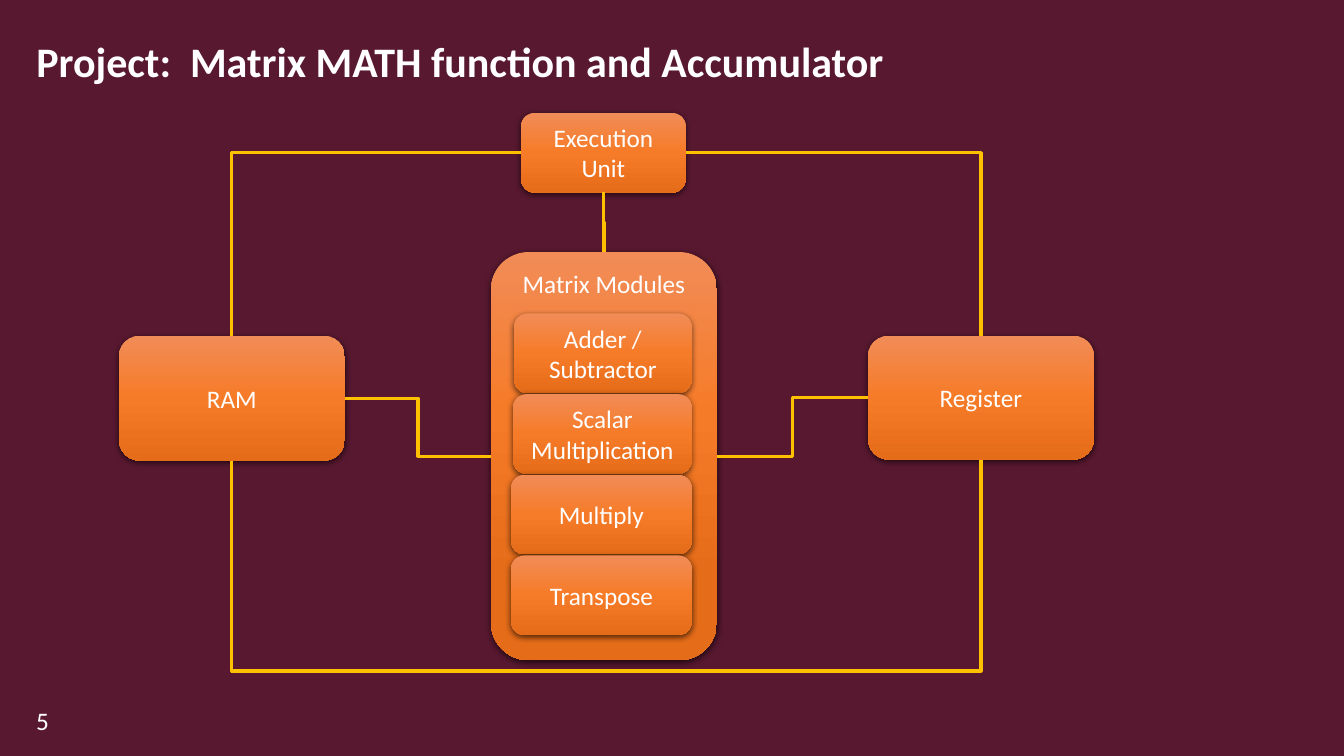
from copy import deepcopy
from math import cos, radians, sin

from lxml import etree
from pptx import Presentation
from pptx.dml.color import RGBColor
from pptx.enum.shapes import MSO_CONNECTOR, MSO_SHAPE
from pptx.enum.text import MSO_ANCHOR, PP_ALIGN
from pptx.oxml.ns import qn
from pptx.util import Inches, Pt

WINE = RGBColor(0x58, 0x18, 0x30)
WHITE = RGBColor(0xFF, 0xFF, 0xFF)
GOLD = RGBColor(0xFF, 0xC0, 0x00)
ORANGES = (RGBColor(0xF1, 0x8C, 0x57), RGBColor(0xF6, 0x7B, 0x28), RGBColor(0xE5, 0x6C, 0x19))

# Connection sites of a rounded rectangle, and the clockwise angle of leaving each
TOP, LEFT, BOTTOM, RIGHT = range(4)
LEAVING = {TOP: 270, LEFT: 180, BOTTOM: 90, RIGHT: 0}


def site_point(shape, site):
    """Return the position of a connection site on a shape."""
    across = {LEFT: 0, RIGHT: shape.width}.get(site, shape.width // 2)
    down = {TOP: 0, BOTTOM: shape.height}.get(site, shape.height // 2)
    return shape.left + across, shape.top + down


class Diagram:
    """Holds the style and the current slide."""

    font = "Calibri"
    size = 18

    def __init__(self, slide):
        """Take the slide and colour its background."""
        self.slide = slide
        slide.background.fill.solid()
        slide.background.fill.fore_color.rgb = WINE

    def put_text(self, frame, text, size=None, bold=False, align=PP_ALIGN.LEFT,
                 anchor=MSO_ANCHOR.TOP):
        """Put one styled paragraph in a text frame and return it."""
        frame.word_wrap = True
        frame.vertical_anchor = anchor
        paragraph = frame.paragraphs[0]
        paragraph.alignment = align
        run = paragraph.add_run()
        run.text = text
        run.font.name = self.font
        run.font.size = Pt(size or self.size)
        run.font.bold = bold
        run.font.color.rgb = WHITE
        return paragraph

    def title(self, text, left, top, width, height):
        """Place and fill the title placeholder."""
        title = self.slide.shapes.title
        title.left, title.top = Inches(left), Inches(top)
        title.width, title.height = Inches(width), Inches(height)
        paragraph = self.put_text(title.text_frame, text, 30, True, anchor=MSO_ANCHOR.MIDDLE)
        paragraph.line_spacing = 0.9

    def label(self, text, left, top, width, height):
        """Add a plain text box."""
        box = self.slide.shapes.add_textbox(
            Inches(left), Inches(top), Inches(width), Inches(height))
        self.put_text(box.text_frame, text)

    def block(self, text, left, top, width, height, stops=(0, 0.5, 1),
              anchor=MSO_ANCHOR.MIDDLE):
        """Add a rounded block with an orange gradient and a soft shadow."""
        block = self.slide.shapes.add_shape(
            MSO_SHAPE.ROUNDED_RECTANGLE,
            Inches(left), Inches(top), Inches(width), Inches(height))
        block.line.fill.background()
        block.fill.gradient()
        block.fill.gradient_angle = 270
        stop_list = block.element.spPr.find(".//" + qn("a:gsLst"))
        stop_list.append(deepcopy(stop_list[-1]))
        for stop, position, colour in zip(block.fill.gradient_stops, stops, ORANGES):
            stop.position = position
            stop.color.rgb = colour
        block.shadow.inherit = False
        effects = block.element.spPr.find(qn("a:effectLst"))
        shadow = etree.SubElement(
            effects, qn("a:outerShdw"), blurRad=str(Pt(4.5)), dist=str(Pt(1.5)),
            dir="5400000", algn="ctr", rotWithShape="0")
        black = etree.SubElement(shadow, qn("a:srgbClr"), val="000000")
        etree.SubElement(black, qn("a:alpha"), val="63000")
        self.put_text(block.text_frame, text, align=PP_ALIGN.CENTER, anchor=anchor)
        return block

    def link(self, start, start_site, end, end_site, reach=None):
        """Join two blocks with an elbow; reach is how far it runs before its first bend."""
        x1, y1 = site_point(start, start_site)
        x2, y2 = site_point(end, end_site)
        link = self.slide.shapes.add_connector(MSO_CONNECTOR.ELBOW, x1, y1, x2, y2)
        link.begin_connect(start, start_site)
        link.end_connect(end, end_site)
        link.line.color.rgb = GOLD
        link.line.width = Pt(2.25)
        properties = link._element.spPr
        etree.SubElement(properties, qn("a:effectLst"))

        # Turn the span so that the connector leaves along its own x axis
        angle = LEAVING[start_site]
        c, s = round(cos(radians(angle))), round(sin(radians(angle)))
        along = c * (x2 - x1) + s * (y2 - y1)
        aside = c * (y2 - y1) - s * (x2 - x1)
        link.width, link.height = abs(along), abs(aside)
        link.left = (x1 + x2 - link.width) // 2
        link.top = (y1 + y2 - link.height) // 2
        frame = properties.find(qn("a:xfrm"))
        frame.set("rot", str(angle * 60000))
        frame.set("flipH", str(int(along < 0)))
        frame.set("flipV", str(int(aside < 0)))

        geometry = properties.find(qn("a:prstGeom"))
        if (start_site - end_site) % 2:
            geometry.set("prst", "bentConnector2")
        elif reach:
            guide = round(Inches(reach) / along * 100000)
            etree.SubElement(geometry.find(qn("a:avLst")), qn("a:gd"),
                             name="adj1", fmla=f"val {guide}")


def main():
    """Build the slide and save it."""
    deck = Presentation()
    deck.slide_width, deck.slide_height = Inches(13.33), Inches(7.5)
    diagram = Diagram(deck.slides.add_slide(deck.slide_layouts[5]))

    diagram.title("Project:  Matrix MATH function and Accumulator", 0.26, 0.29, 12.81, 0.69)
    diagram.label("5", 0.26, 6.95, 0.51, 0.4)

    modules = diagram.block("Matrix Modules", 4.87, 2.5, 2.24, 4.05,
                            stops=(0, 0.39, 0.8), anchor=MSO_ANCHOR.TOP)
    ram = diagram.block("RAM", 1.18, 3.33, 2.24, 1.24)
    register = diagram.block("Register", 8.61, 3.33, 2.24, 1.23)
    execution = diagram.block("Execution Unit", 5.17, 1.12, 1.63, 0.79)

    operations = (("Adder / Subtractor", 5.1), ("Scalar Multiplication", 5.09),
                  ("Multiply", 5.07), ("Transpose", 5.07))
    right_edge, first_top, pitch = 6.86, 3.11, 0.8
    for row, (name, left) in enumerate(operations):
        diagram.block(name, left, first_top + row * pitch, right_edge - left, 0.79)

    diagram.link(register, BOTTOM, ram, BOTTOM, reach=2.13)
    diagram.link(ram, TOP, execution, LEFT)
    diagram.link(register, TOP, execution, RIGHT)
    diagram.link(register, LEFT, modules, RIGHT)
    diagram.link(modules, LEFT, ram, RIGHT)
    diagram.link(modules, TOP, execution, BOTTOM)

    deck.save("out.pptx")


main()
